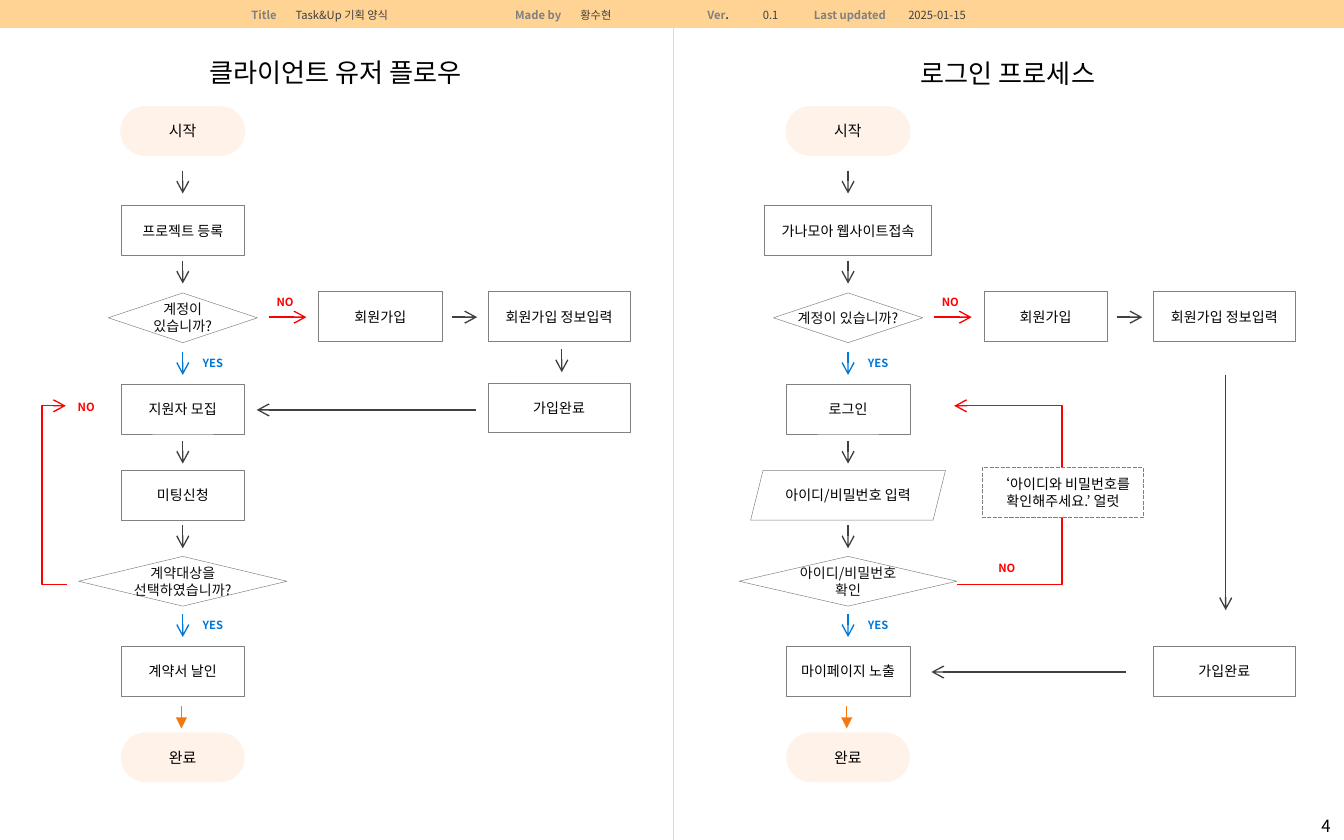
from dataclasses import dataclass

from lxml import etree
from pptx import Presentation
from pptx.dml.color import RGBColor
from pptx.enum.dml import MSO_LINE
from pptx.enum.shapes import MSO_CONNECTOR, MSO_SHAPE
from pptx.enum.text import MSO_ANCHOR, MSO_AUTO_SIZE, PP_ALIGN
from pptx.oxml.ns import qn
from pptx.util import Inches, Pt

LEFT, CENTER, RIGHT = PP_ALIGN.LEFT, PP_ALIGN.CENTER, PP_ALIGN.RIGHT
TOP, MIDDLE = MSO_ANCHOR.TOP, MSO_ANCHOR.MIDDLE
RECTANGLE, PILL = MSO_SHAPE.RECTANGLE, MSO_SHAPE.ROUNDED_RECTANGLE
DECISION, DATA = MSO_SHAPE.FLOWCHART_DECISION, MSO_SHAPE.PARALLELOGRAM
STRAIGHT, ELBOW = MSO_CONNECTOR.STRAIGHT, MSO_CONNECTOR.ELBOW
DASH = MSO_LINE.SQUARE_DOT
FIT_TEXT = MSO_AUTO_SIZE.SHAPE_TO_FIT_TEXT
PLAIN_TABLE_STYLE = "{2D5ABB26-0587-4C30-8999-92F81FD0307C}"
NODE_HEIGHT = 0.37
ARROW_LENGTH = 0.17
LEFT_CENTER, RIGHT_CENTER = 1.36, 6.31


@dataclass(frozen=True)
class Theme:
    font: str = "Noto Sans CJK KR"
    black: str = "000000"
    ink: str = "0D0D0D"
    dark: str = "404040"
    gray: str = "808080"
    divider: str = "D9D9D9"
    white: str = "FFFFFF"
    header: str = "FFD393"
    pill: str = "FFF2E9"
    red: str = "FF0000"
    blue: str = "0078D7"
    orange: str = "F47710"
    title_size: float = 14
    page_size: float = 9
    pill_size: float = 8
    node_size: float = 7.5
    small_size: float = 6


THEME = Theme()


def color_of(value):
    return RGBColor.from_string(value)


def add_run(paragraph, text, *, size, color, bold=False):
    run = paragraph.add_run()
    run.text = text
    font = run.font
    font.name, font.size, font.bold = THEME.font, Pt(size), bold
    font.color.rgb = color_of(color)
    east_asian = etree.SubElement(font._element, qn("a:ea"))
    east_asian.set("typeface", THEME.font)


def write_text(frame, text, *, size, color=THEME.black, bold=False,
               align=CENTER, anchor=MIDDLE, inset=None, wrap=False):
    frame.word_wrap = wrap
    frame.vertical_anchor = anchor
    if inset is not None:
        frame.margin_left = frame.margin_right = Inches(inset)
        frame.margin_top = frame.margin_bottom = Inches(inset)
    for index, line in enumerate(text.split("\n")):
        paragraph = frame.add_paragraph() if index else frame.paragraphs[0]
        paragraph.alignment = align
        add_run(paragraph, line, size=size, color=color, bold=bold)


def add_label(slide, text, left, top, width, height, **text_format):
    box = slide.shapes.add_textbox(*map(Inches, (left, top, width, height)))
    write_text(box.text_frame, text, **text_format)
    return box


def add_branch_label(slide, text, left, top):
    color, width = (THEME.red, 0.33) if text == "NO" else (THEME.blue, 0.35)
    box = add_label(slide, text, left, top, width, 0.2, size=THEME.small_size,
                    color=color, bold=True, align=LEFT, anchor=TOP)
    box.text_frame.auto_size = FIT_TEXT


def add_title(slide, text, left, top):
    add_label(slide, text, left, top, 5, 0.34, size=THEME.title_size,
              anchor=TOP, wrap=True)


def add_node(slide, text, center, top, width=0.92, kind=RECTANGLE, dashed=False):
    bounds = (center - width / 2, top, width, NODE_HEIGHT)
    shape = slide.shapes.add_shape(kind, *map(Inches, bounds))
    shape.shadow.inherit = False
    shape.fill.solid()
    shape.fill.fore_color.rgb = color_of(THEME.pill if kind == PILL else THEME.white)
    if kind == PILL:
        shape.adjustments[0] = 0.5
        shape.line.fill.background()
    else:
        shape.line.color.rgb = color_of(THEME.gray)
        shape.line.width = Pt(0.75 if dashed else 0.25)
    if dashed:
        shape.line.dash_style = DASH
    write_text(shape.text_frame, text,
               size=THEME.pill_size if kind == PILL else THEME.node_size,
               color=THEME.ink if kind == DECISION else THEME.black,
               inset=None if kind in (PILL, DECISION) else 0)


def add_line(slide, start, end, color=THEME.dark, head="arrow", kind=STRAIGHT):
    line = slide.shapes.add_connector(kind, *map(Inches, (*start, *end)))
    line.line.color.rgb = color_of(color)
    line.line.width = Pt(0.75)
    properties = line._element.spPr
    if head:
        tail = etree.SubElement(properties.find(qn("a:ln")), qn("a:tailEnd"))
        tail.set("type", head)
    etree.SubElement(properties, qn("a:effectLst"))
    return line


def add_down_arrow(slide, center, top, **line_format):
    add_line(slide, (center, top), (center, top + ARROW_LENGTH), **line_format)


def add_return_loop(slide, start, end, turn):
    line = add_line(slide, start, end, color=THEME.red, kind=ELBOW)
    ratio = (turn - start[0]) / (end[0] - start[0])
    guides = line._element.spPr.find(qn("a:prstGeom")).get_or_add_avLst()
    guide = etree.SubElement(guides, qn("a:gd"))
    guide.set("name", "adj1")
    guide.set("fmla", f"val {round(ratio * 100000)}")


def add_header(slide):
    widths = (1.77, 0.39, 1.57, 0.55, 0.87, 0.39, 0.39, 0.79, 0.89, 2.39)
    texts = ("", "Title", "Task&Up 기획 양식", "Made by", "황수현",
             "Ver", "0.1", "Last updated", "2025-01-15", "")
    captions = ("Title", "Made by", "Ver", "Last updated")
    frame = slide.shapes.add_table(2, len(widths), 0, 0, Inches(10), Inches(5.87))
    table = frame.table
    table._tbl.tblPr.find(qn("a:tableStyleId")).text = PLAIN_TABLE_STYLE
    table.rows[0].height, table.rows[1].height = Inches(0.21), Inches(5.66)
    for index, (width, text) in enumerate(zip(widths, texts)):
        table.columns[index].width = Inches(width)
        cell = table.cell(0, index)
        cell.fill.solid()
        cell.fill.fore_color.rgb = color_of(THEME.header)
        cell.vertical_anchor = MIDDLE
        cell.margin_left = cell.margin_right = Inches(0.04)
        cell.margin_top = cell.margin_bottom = Inches(0.04)
        paragraph = cell.text_frame.paragraphs[0]
        caption = text in captions
        paragraph.alignment = CENTER if caption or text == "0.1" else LEFT
        if text:
            add_run(paragraph, text, size=THEME.small_size, bold=caption,
                    color=THEME.gray if caption else THEME.dark)
        if text == "Ver":
            add_run(paragraph, ".", size=THEME.small_size, color=THEME.dark, bold=True)
        ending = etree.SubElement(paragraph._p, qn("a:endParaRPr"))
        ending.set("sz", str(THEME.small_size * 100))
    body = table.cell(1, 0)
    body.merge(table.cell(1, len(widths) - 1))
    body.fill.background()


def add_shared_flow(slide, center):
    add_node(slide, "시작", center, 0.79, 0.93, PILL)
    add_node(slide, "회원가입", center + 1.47, 2.17)
    add_node(slide, "회원가입 정보입력", center + 2.8, 2.17, 1.06)
    add_node(slide, "완료", center, 5.45, kind=PILL)
    for top in (1.27, 1.94, 3.28, 3.91):
        add_down_arrow(slide, center, top)
    for top in (2.62, 4.57):
        add_down_arrow(slide, center, top, color=THEME.blue)
        add_branch_label(slide, "YES", center + 0.05, top - 0.02)
    add_down_arrow(slide, center - 0.01, 5.25, color=THEME.orange, head="triangle")
    add_line(slide, (center + 0.64, 2.36), (center + 0.92, 2.36), color=THEME.red)
    add_line(slide, (center + 2, 2.36), (center + 2.19, 2.36))
    add_branch_label(slide, "NO", center + 0.6, 2.15)


def add_client_flow(slide, center):
    add_title(slide, "클라이언트 유저 플로우", 0, 0.37)
    add_shared_flow(slide, center)
    for text, top in (("프로젝트 등록", 1.53), ("지원자 모집", 2.86),
                      ("미팅신청", 3.5), ("계약서 날인", 4.81)):
        add_node(slide, text, center, top)
    add_node(slide, "계정이\n있습니까?", center, 2.18, 1.11, DECISION)
    add_node(slide, "계약대상을\n선택하였습니까?", center, 4.14, 1.55, DECISION)
    add_node(slide, "가입완료", center + 2.8, 2.85, 1.06)
    add_down_arrow(slide, 4.18, 2.6)
    add_line(slide, (3.54, 3.05), (1.91, 3.05))
    add_return_loop(slide, (0.5, 4.35), (0.49, 3.02), 0.31)
    add_branch_label(slide, "NO", 0.48, 2.93)


def add_login_flow(slide, center):
    add_title(slide, "로그인 프로세스", 5, 0.38)
    add_shared_flow(slide, center)
    add_node(slide, "가나모아 웹사이트접속", center, 1.53, 1.24)
    add_node(slide, "계정이 있습니까?", center, 2.18, 1.11, DECISION)
    add_node(slide, "로그인", center, 2.86)
    add_node(slide, "아이디/비밀번호 입력", center, 3.5, 1.45, DATA)
    add_node(slide, "아이디/비밀번호\n확인", center, 4.14, 1.62, DECISION)
    add_node(slide, "마이페이지 노출", center, 4.81)
    add_node(slide, "가입완료", center + 2.8, 4.81, 1.06)
    add_line(slide, (9.12, 2.79), (9.12, 4.54))
    add_line(slide, (8.38, 5), (6.93, 5))
    add_return_loop(slide, (7.12, 4.35), (7.1, 3.02), 7.9)
    add_branch_label(slide, "NO", 7.33, 4.13)
    add_node(slide, "‘아이디와 비밀번호를\n확인해주세요.’ 얼럿", 7.91, 3.48, 1.2, dashed=True)


def main():
    presentation = Presentation()
    presentation.slide_width, presentation.slide_height = Inches(10), Inches(6.25)
    slide = presentation.slides.add_slide(presentation.slide_layouts[6])
    add_header(slide)
    add_label(slide, "4", 7, 6.02, 3, 0.25, size=THEME.page_size, align=RIGHT, wrap=True)
    add_client_flow(slide, LEFT_CENTER)
    add_login_flow(slide, RIGHT_CENTER)
    add_line(slide, (5.01, 0.21), (5.01, 6.25), color=THEME.divider, head=None)
    presentation.save("out.pptx")


if __name__ == "__main__":
    main()
